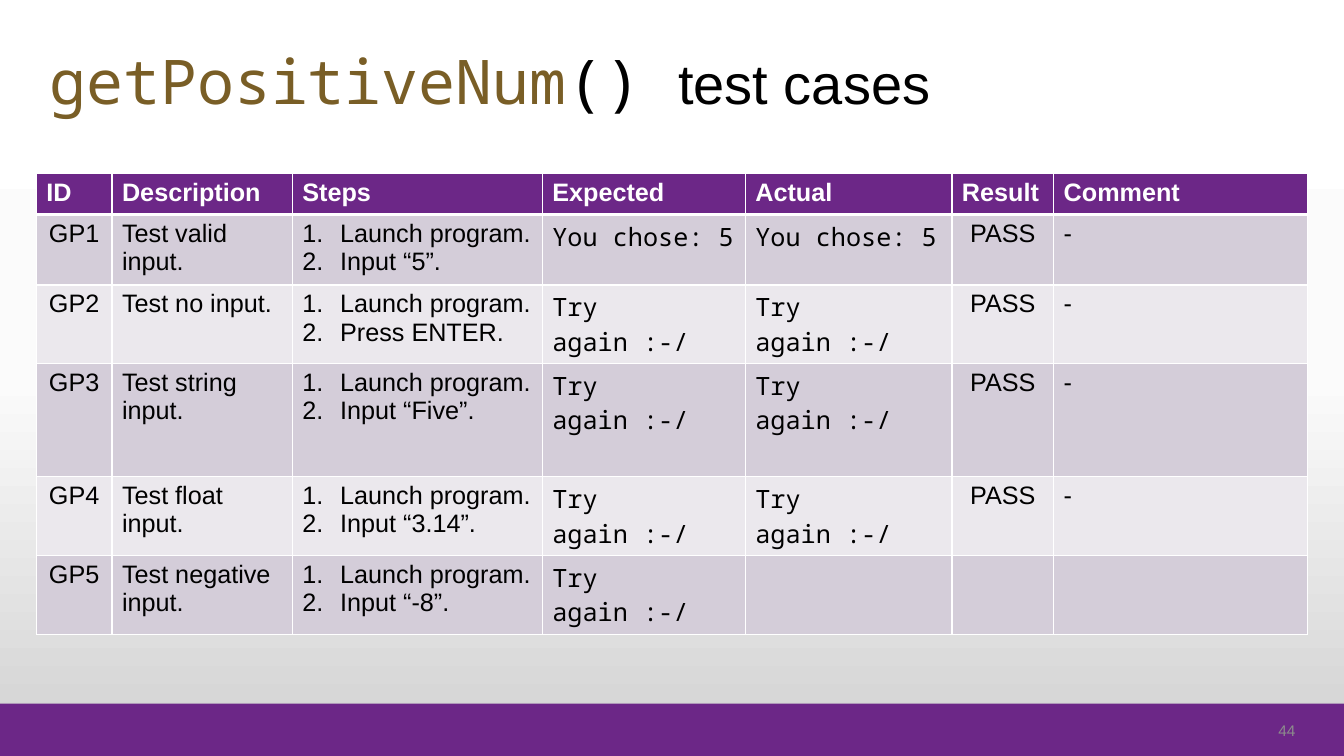
"""Build the slide listing the test cases of getPositiveNum()."""
from copy import deepcopy
from dataclasses import dataclass

from lxml.etree import SubElement
from pptx import Presentation
from pptx.dml.color import RGBColor
from pptx.enum.shapes import MSO_SHAPE
from pptx.enum.text import MSO_ANCHOR, MSO_AUTO_SIZE, PP_ALIGN
from pptx.oxml.ns import qn
from pptx.util import Pt

SANS = "Arial"
MONO = "Noto Sans Mono"
COLORS = {
    "purple": "6C2787",
    "brown": "795E26",
    "black": "000000",
    "white": "FFFFFF",
    "gray": "8C8C8C",
    "odd band": "D4CDD9",
    "even band": "EBE8ED",
}
BACKDROP = [(0, "FFFFFF"), (0.5, "FBFBFB"), (1, "D1D1D1")]
ROW_HEIGHTS = [29.4, 47.2, 56.2, 80.8, 56.2, 56.2]


@dataclass
class Column:
    """A table column with the look of its body cells."""

    heading: str
    width: float
    font: str = SANS
    align: PP_ALIGN = PP_ALIGN.LEFT
    numbered: bool = False


@dataclass
class Case:
    """One test case."""

    name: str
    description: str
    action: str
    expected: str = "Try again :-/"
    actual: str = "Try again :-/"
    result: str = "PASS"
    comment: str = "-"

    def texts(self) -> list[str]:
        """Return the cell texts from left to right."""
        steps = f"Launch program.\n{self.action}"
        return [self.name, self.description, steps, self.expected,
                self.actual, self.result, self.comment]


COLUMNS = [
    Column("ID", 54, align=PP_ALIGN.CENTER),
    Column("Description", 128.8),
    Column("Steps", 178.6, numbered=True),
    Column("Expected", 145, MONO),
    Column("Actual", 147.6, MONO),
    Column("Result", 72.7, align=PP_ALIGN.CENTER),
    Column("Comment", 181.4),
]
CASES = [
    Case("GP1", "Test valid input.", "Input “5”.", "You chose: 5", "You chose: 5"),
    Case("GP2", "Test no input.", "Press ENTER."),
    Case("GP3", "Test string input.", "Input “Five”."),
    Case("GP4", "Test float input.", "Input “3.14”."),
    Case("GP5", "Test negative input.", "Input “-8”.", actual="", result="", comment=""),
]


def color(name: str) -> RGBColor:
    """Look up a named color."""
    return RGBColor.from_string(COLORS[name])


def style(font, name: str, size: float, tint: str, bold: bool = False) -> None:
    """Format the font of a paragraph or span."""
    font.name, font.size, font.bold = name, Pt(size), bold
    font.color.rgb = color(tint)


def paint_background(page) -> None:
    """Fill the page with the vertical gradient."""
    fill = page.background.fill
    fill.gradient()
    fill.gradient_angle = 270
    stop_list = page.element.find(".//" + qn("a:gsLst"))
    stop_list.append(deepcopy(stop_list[-1]))
    for stop, (position, tint) in zip(fill.gradient_stops, BACKDROP):
        stop.position = position
        stop.color.rgb = RGBColor.from_string(tint)


def add_title(page) -> None:
    """Place and format the title."""
    title = page.shapes.title
    title.left, title.top, title.width, title.height = Pt(28), Pt(26), Pt(746), Pt(62.6)
    frame = title.text_frame
    frame.auto_size = MSO_AUTO_SIZE.NONE
    frame.vertical_anchor = MSO_ANCHOR.MIDDLE
    para = frame.paragraphs[0]
    para.alignment = PP_ALIGN.LEFT
    for text, name, size, tint in [
        ("getPositiveNum", MONO, 44, "brown"),
        ("() ", MONO, 44, "black"),
        ("test cases", SANS, 40, "black"),
    ]:
        span = para.add_run()
        span.text = text
        style(span.font, name, size, tint)


def add_footer(page) -> None:
    """Draw the bottom bar and the page number."""
    bar = page.shapes.add_shape(MSO_SHAPE.RECTANGLE, 0, Pt(502.6), Pt(960), Pt(37.4))
    bar.shadow.inherit = False
    bar.fill.solid()
    bar.fill.fore_color.rgb = color("purple")
    bar.line.fill.background()
    box = page.shapes.add_textbox(Pt(892.8), Pt(513.4), Pt(39.6), Pt(17.3))
    frame = box.text_frame
    frame.word_wrap = True
    frame.vertical_anchor = MSO_ANCHOR.MIDDLE
    para = frame.paragraphs[0]
    para.text = "44"
    para.alignment = PP_ALIGN.RIGHT
    style(para.font, SANS, 11, "gray")


def add_borders(cell, top: float, bottom: float) -> None:
    """Give a cell white borders."""
    properties = cell._tc.get_or_add_tcPr()
    for side, width in [("L", 1), ("R", 1), ("T", top), ("B", bottom)]:
        line = SubElement(properties, qn(f"a:ln{side}"), w=str(Pt(width)))
        fill = SubElement(line, qn("a:solidFill"))
        SubElement(fill, qn("a:srgbClr"), val=COLORS["white"])


def number(para) -> None:
    """Turn a paragraph into a numbered step."""
    properties = para._p.get_or_add_pPr()
    properties.set("marL", str(Pt(27)))
    properties.set("indent", str(-Pt(27)))
    SubElement(properties, qn("a:buFont"), typeface=SANS)
    SubElement(properties, qn("a:buAutoNum"), type="arabicPeriod")


def fill_cell(cell, text: str, column: Column, row: int) -> None:
    """Write and format one cell."""
    header = row == 0
    add_borders(cell, top=3 if row == 1 else 1, bottom=3 if header else 1)
    band = "purple" if header else "odd band" if row % 2 else "even band"
    cell.fill.solid()
    cell.fill.fore_color.rgb = color(band)
    cell.text = text
    for para in cell.text_frame.paragraphs:
        if header:
            style(para.font, SANS, 18, "white", bold=True)
            continue
        para.alignment = column.align
        style(para.font, column.font, 18, "black")
        if column.numbered:
            number(para)


def add_cases(page) -> None:
    """Draw the table of test cases."""
    rows = [[column.heading for column in COLUMNS]] + [case.texts() for case in CASES]
    width = sum(column.width for column in COLUMNS)
    table = page.shapes.add_table(len(rows), len(COLUMNS), Pt(26), Pt(123.8),
                                  Pt(width), Pt(sum(ROW_HEIGHTS))).table
    for grid_column, column in zip(table.columns, COLUMNS):
        grid_column.width = Pt(column.width)
    for row, texts in enumerate(rows):
        table.rows[row].height = Pt(ROW_HEIGHTS[row])
        for index, (text, column) in enumerate(zip(texts, COLUMNS)):
            fill_cell(table.cell(row, index), text, column, row)


def main() -> None:
    """Build and save the deck."""
    deck = Presentation()
    deck.slide_width, deck.slide_height = Pt(960), Pt(540)
    page = deck.slides.add_slide(deck.slide_layouts[5])
    paint_background(page)
    add_footer(page)
    add_title(page)
    add_cases(page)
    deck.save("out.pptx")


if __name__ == "__main__":
    main()
